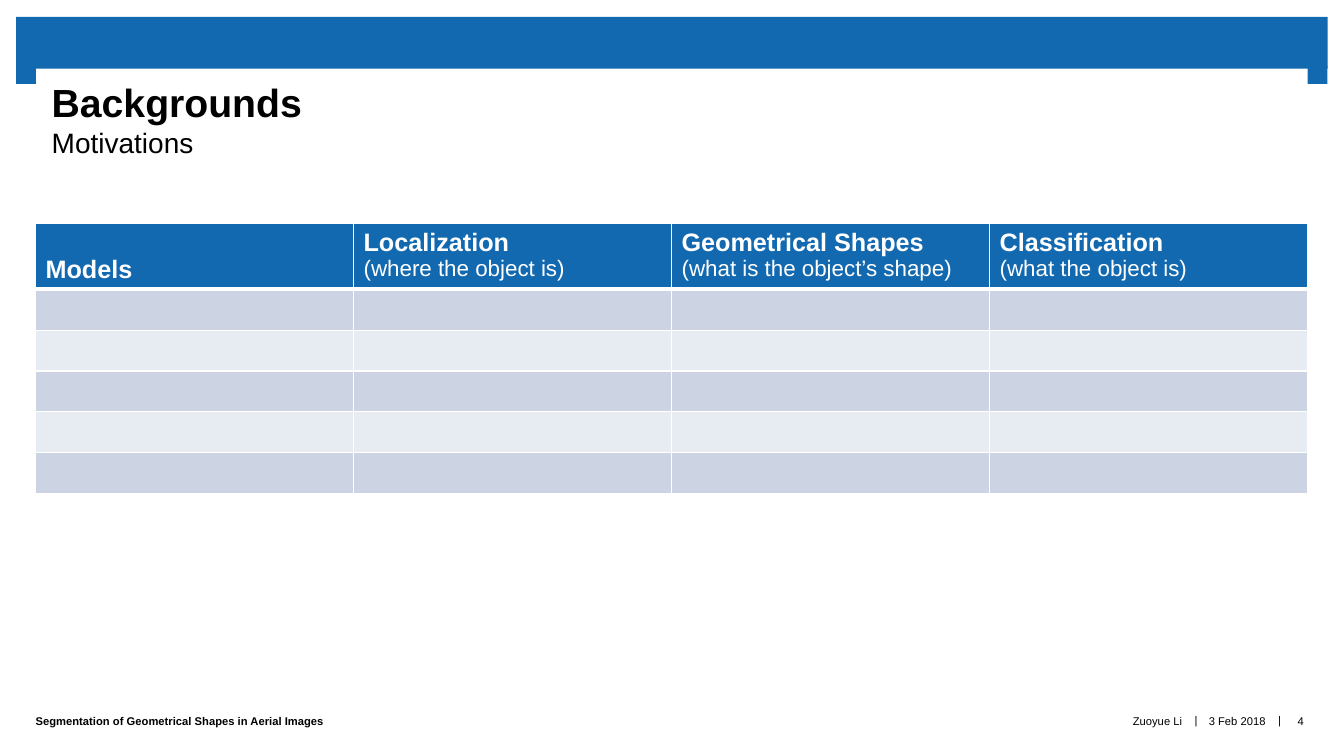
from lxml import etree
from pptx import Presentation
from pptx.dml.color import RGBColor
from pptx.enum.shapes import MSO_SHAPE
from pptx.enum.text import MSO_ANCHOR, MSO_AUTO_SIZE, PP_ALIGN
from pptx.oxml.ns import qn
from pptx.util import Pt

RECT = MSO_SHAPE.RECTANGLE
TOP, MID, BOTTOM = MSO_ANCHOR.TOP, MSO_ANCHOR.MIDDLE, MSO_ANCHOR.BOTTOM
LEFT, CENTER, RIGHT = PP_ALIGN.LEFT, PP_ALIGN.CENTER, PP_ALIGN.RIGHT
NO_FIT = MSO_AUTO_SIZE.NONE

COLORS = {"blue": "1269B0", "dark": "CCD4E4", "light": "E7EBF2",
          "white": "FFFFFF", "black": "000000"}


class Deck:
    """Style and current slide."""
    font = "Arial"

    def __init__(self, wide, high):
        self.prs = Presentation()
        self.prs.slide_width, self.prs.slide_height = Pt(wide), Pt(high)
        self.slide = self.prs.slides.add_slide(self.prs.slide_layouts[5])

    def color(self, name):
        return RGBColor.from_string(COLORS[name])

    def paint(self, fill, name):
        fill.solid()
        fill.fore_color.rgb = self.color(name)

    def run(self, para, words, size, bold=False, color="black"):
        run = para.add_run()
        run.text = words
        font = run.font
        font.name, font.size, font.bold = self.font, Pt(size), bold
        font.color.rgb = self.color(color)

    def frame(self, frame, anchor, insets=(0, 0, 0, 0)):
        frame.word_wrap = True
        frame.auto_size = NO_FIT
        frame.vertical_anchor = anchor
        (frame.margin_left, frame.margin_top,
         frame.margin_right, frame.margin_bottom) = map(Pt, insets)

    def title(self, box, head, sub):
        shape = self.slide.shapes.title
        shape.left, shape.top, shape.width, shape.height = map(Pt, box)
        self.paint(shape.fill, "white")
        self.frame(shape.text_frame, TOP, (11.5, 7, 11.5, 0))
        para = shape.text_frame.paragraphs[0]
        para.alignment = LEFT
        self.run(para, head, 28, True)
        para.add_line_break()
        self.run(para, sub, 20)

    def block(self, *box):
        shape = self.slide.shapes.add_shape(RECT, *map(Pt, box))
        shape.shadow.inherit = False
        self.paint(shape.fill, "blue")
        shape.line.fill.background()

    def label(self, box, words, align, bold=False):
        text = self.slide.shapes.add_textbox(*map(Pt, box)).text_frame
        self.frame(text, MID)
        para = text.paragraphs[0]
        para.alignment = align
        self.run(para, words, 8, bold)

    def edges(self, cell, top, bottom):
        props = cell._tc.get_or_add_tcPr()
        sides = {"a:lnL": 1, "a:lnR": 1, "a:lnT": top, "a:lnB": bottom}
        for spot, (tag, width) in enumerate(sides.items()):
            line = etree.Element(qn(tag), w=str(Pt(width)))
            fill = etree.SubElement(line, qn("a:solidFill"))
            etree.SubElement(fill, qn("a:srgbClr"), val=COLORS["white"])
            props.insert(spot, line)

    def table(self, box, heads, rows, head_high):
        left, top, wide, row_high = box
        high = head_high + rows * row_high
        grid = self.slide.shapes.add_table(
            rows + 1, len(heads), *map(Pt, (left, top, wide, high))).table
        grid.horz_banding = False
        for col in grid.columns:
            col.width = Pt(wide / len(heads))
        for r, row in enumerate(grid.rows):
            row.height = Pt(row_high if r else head_high)
            shade = ("light", "dark")[r % 2] if r else "blue"
            for cell in row.cells:
                self.paint(cell.fill, shade)
                self.edges(cell, 3 if r == 1 else 1, 1 if r else 3)
        for cell, (name, note) in zip(grid.rows[0].cells, heads):
            text = cell.text_frame
            self.run(text.paragraphs[0], name, 18, True, "white")
            if note:
                self.run(text.add_paragraph(), note, 16, False, "white")
            else:
                cell.vertical_anchor = BOTTOM


def main():
    deck = Deck(960, 540)
    edge, wide = 25.4, 908.6

    # Title
    deck.title((edge, 49, wide, 76.3), "Backgrounds", "Motivations")

    # Top band with its two tabs
    deck.block(11.5, 12, 936.9, 37)
    for left in (11.5, edge + wide):
        deck.block(left, 47, 14.1, 13)

    # Table
    heads = [("Models", ""),
             ("Localization", "(where the object is)"),
             ("Geometrical Shapes", "(what is the object’s shape)"),
             ("Classification", "(what the object is)")]
    deck.table((edge, 159.4, wide, 29.2), heads, 5, 47.2)

    # Footer
    top, high = 496.8, 36.4
    deck.label((edge, top, 454.3, high),
               "Segmentation of Geometrical Shapes in Aerial Images", LEFT, True)
    deck.label((479.5, top, 365, high), "Zuoyue Li", RIGHT)
    deck.label((859.7, top, 48.2, high), "3 Feb 2018", CENTER)
    deck.label((915.1, top, 28.1, high), "4", CENTER)
    for left in (848.9, 908.6):
        deck.label((left, top - 0.7, 10.8, high), "|", CENTER)

    deck.prs.save("out.pptx")


if __name__ == "__main__":
    main()
